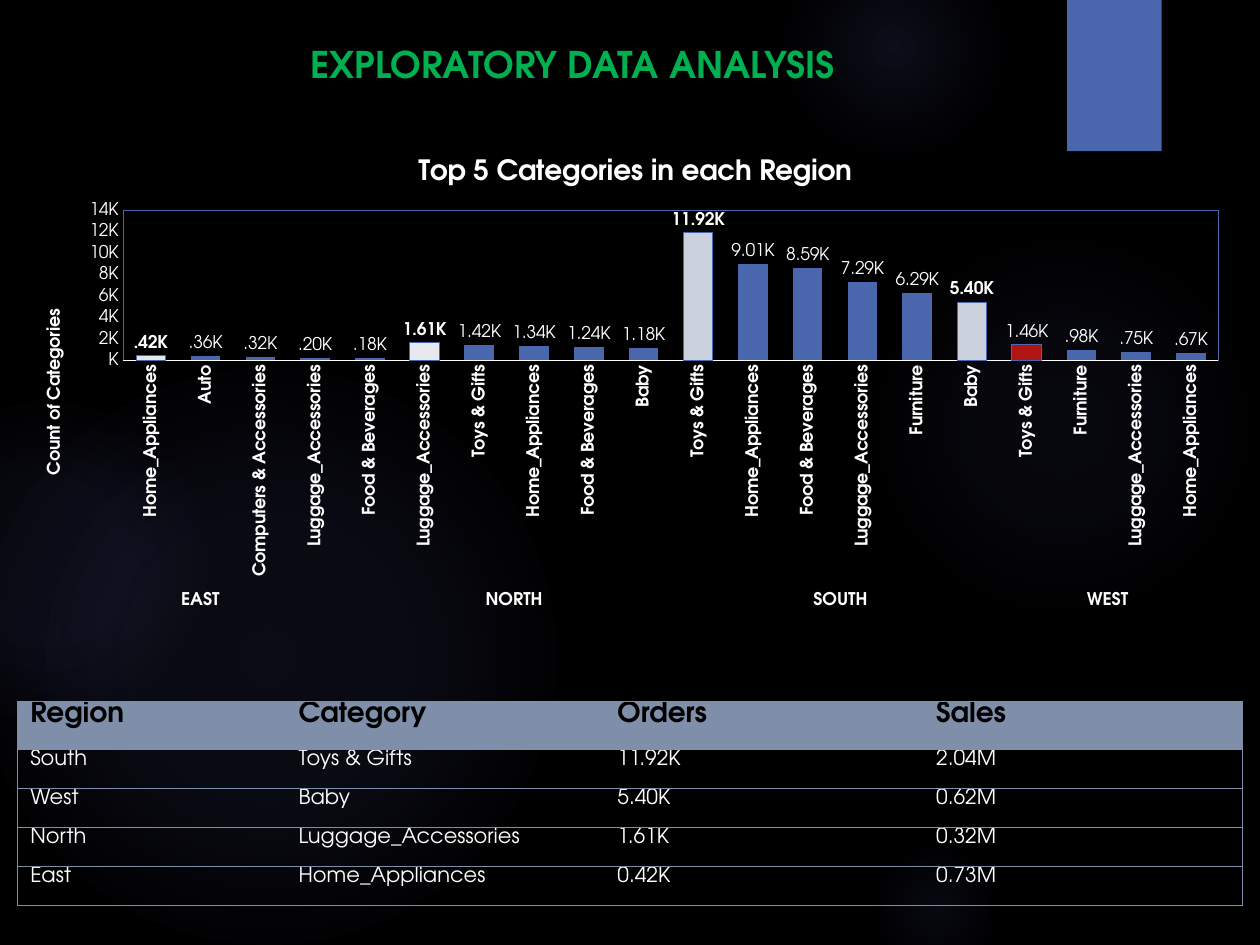
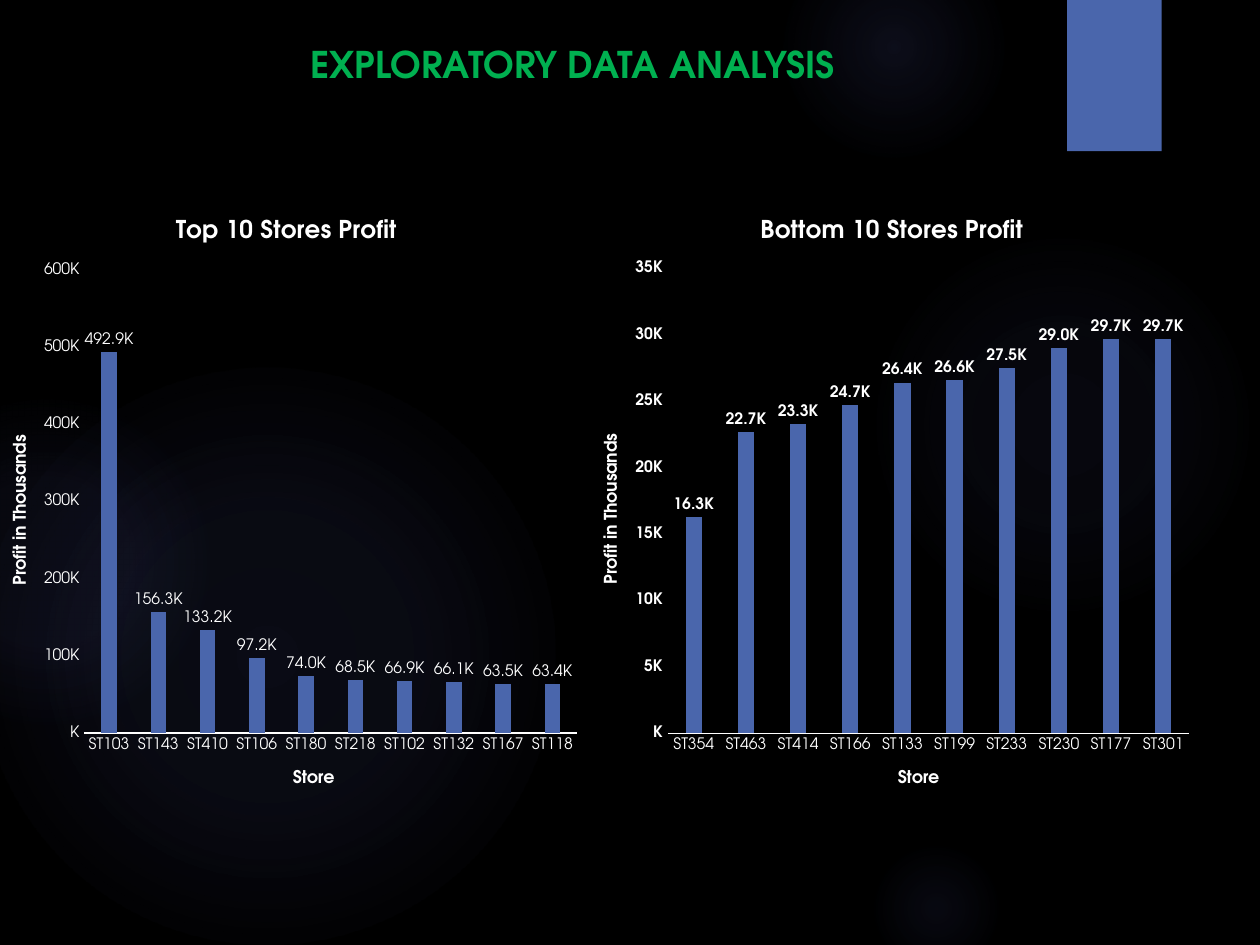
from dataclasses import dataclass, field
from typing import NamedTuple, Optional

from pptx import Presentation
from pptx.chart.data import CategoryChartData
from pptx.dml.color import RGBColor as RGB
from pptx.enum.chart import XL_CHART_TYPE as ChartType
from pptx.enum.chart import XL_LABEL_POSITION as LabelPos
from pptx.enum.chart import XL_TICK_MARK as Tick
from pptx.enum.shapes import MSO_SHAPE as Preset
from pptx.enum.text import MSO_ANCHOR as Anchor
from pptx.enum.text import MSO_AUTO_SIZE as AutoSize
from pptx.enum.text import PP_ALIGN as Align
from pptx.oxml import parse_xml
from pptx.oxml.ns import nsdecls, qn
from pptx.util import Inches, Pt


@dataclass(frozen=True)
class Theme:
    font: str = "TeX Gyre Adventor"
    black: str = "000000"
    white: str = "FFFFFF"
    green: str = "00B050"
    blue: str = "4A66AC"
    glow: str = "5C64B7"
    steel: str = "7F8FA9"
    heading: float = 21
    large: float = 16
    chart_title: float = 14
    body: float = 12
    label: float = 10
    small: float = 9


THEME = Theme()


class Box(NamedTuple):
    left: float
    top: float
    width: float
    height: float

    def lengths(self) -> list[int]:
        return [Inches(value) for value in self]


class Spot(NamedTuple):
    left: float
    top: float


class Glow(NamedTuple):
    left: float
    top: float
    size: float
    stops: tuple  # (position %, opacity %)


class Caption(NamedTuple):
    text: str
    spot: Spot
    size: float = THEME.label


@dataclass
class ColumnChart:
    box: Box
    plot: Box
    title: Caption
    value_title: Caption
    categories: list[str]
    values: list[int]
    top_value: int
    step: int
    label_format: str
    gap: int = 219
    overlap: int = -27
    size: float = THEME.small
    category_title: Optional[Caption] = None
    bold_values: bool = False
    upright_categories: bool = False
    framed: bool = False
    highlights: dict[int, str] = field(default_factory=dict)
    bold_points: tuple = ()


GLOWS = [
    Glow(6.89, 1.83, 3.08, ((0, 7), (36, 6), (69, 0))),
    Glow(6.22, -0.5, 1.75, ((0, 14), (36, 7), (73, 0))),
    Glow(6.89, 6.67, 1.08, ((0, 9), (36, 5), (66, 0))),
    Glow(-0.17, 2.92, 4.58, ((0, 11), (36, 10), (75, 0))),
    Glow(-0.92, 3.17, 2.58, ((0, 8), (36, 8), (72, 0))),
]

REGION_CATEGORIES = ColumnChart(
    box=Box(0.14, 1.09, 9.73, 3.96), plot=Box(0.98, 1.67, 8.69, 1.19),
    title=Caption("Top 5 Categories in each Region", Spot(3.28, 1.2), THEME.large),
    value_title=Caption("Count of Categories", Spot(0.33, 2.43)),
    categories=[
        "Home_Appliances", "Auto", "Computers & Accessories", "Luggage_Accessories", "Food & Beverages",
        "Luggage_Accessories", "Toys & Gifts", "Home_Appliances", "Food & Beverages", "Baby",
        "Toys & Gifts", "Home_Appliances", "Food & Beverages", "Luggage_Accessories", "Furniture",
        "Baby", "Toys & Gifts", "Furniture", "Luggage_Accessories", "Home_Appliances"],
    values=[420, 360, 320, 200, 180, 1610, 1420, 1340, 1240, 1180,
            11920, 9010, 8590, 7290, 6290, 5400, 1460, 980, 750, 670],
    top_value=14000, step=2000, label_format='#.00,"K";\\-#.00,"K"',
    gap=85, overlap=-19, size=THEME.label, upright_categories=True, framed=True,
    highlights={0: "E5E9EE", 5: "E5E9EE", 10: "CCD2DD", 15: "CCD2DD", 16: "B01513"},
    bold_points=(0, 5, 10, 15))

TOP_STORES = ColumnChart(
    box=Box(-0.15, 1.54, 4.83, 4.9), plot=Box(0.67, 2.14, 3.91, 3.68),
    title=Caption("Top 10 Stores Profit", Spot(1.36, 1.69), THEME.chart_title),
    value_title=Caption("Profit in Thousands", Spot(0.06, 3.43)),
    category_title=Caption("Store", Spot(2.3, 6.07)),
    categories=["ST103", "ST143", "ST410", "ST106", "ST180", "ST218", "ST102", "ST132", "ST167", "ST118"],
    values=[492900, 156300, 133200, 97200, 74000, 68500, 66900, 66100, 63500, 63400],
    top_value=600000, step=100000, label_format='#.0,"K";\\-#.0,"K"')

BOTTOM_STORES = ColumnChart(
    box=Box(4.54, 1.54, 5, 4.9), plot=Box(5.3, 2.13, 4.14, 3.69),
    title=Caption("Bottom 10 Stores Profit", Spot(6, 1.69), THEME.chart_title),
    value_title=Caption("Profit in Thousands", Spot(4.75, 3.42)),
    category_title=Caption("Store", Spot(7.1, 6.07)),
    categories=["ST354", "ST463", "ST414", "ST166", "ST133", "ST199", "ST233", "ST230", "ST177", "ST301"],
    values=[16300, 22700, 23300, 24700, 26400, 26600, 27500, 29000, 29700, 29700],
    top_value=35000, step=5000, label_format='#.0,"K";\\-#.0,"K"', bold_values=True)

REGION_CENTRES = {"EAST": 1.59, "NORTH": 4.08, "SOUTH": 6.67, "WEST": 8.79}

LEADERS = [
    ("Region", "Category", "Orders", "Sales"),
    ("South", "Toys & Gifts", "11.92K", "2.04M"),
    ("West", "Baby", "5.40K", "0.62M"),
    ("North", "Luggage_Accessories", "1.61K", "0.32M"),
    ("East", "Home_Appliances", "0.42K", "0.73M"),
]


# Text
def style_font(font, size: float, color: str = THEME.white, bold: bool = False) -> None:
    font.name, font.size, font.bold = THEME.font, Pt(size), bold
    font.color.rgb = RGB.from_string(color)


def add_run(paragraph, text: str, size: float, color: str = THEME.white, bold: bool = False) -> None:
    run = paragraph.add_run()
    run.text = text
    style_font(run.font, size, color, bold)


# Shared slide frame
def add_glow(slide, glow: Glow) -> None:
    orb = slide.shapes.add_shape(Preset.OVAL, *Box(glow.left, glow.top, glow.size, glow.size).lengths())
    orb.shadow.inherit = False
    orb.line.fill.background()
    stops = "".join(
        f'<a:gs pos="{pos * 1000}"><a:srgbClr val="{THEME.glow}">'
        f'<a:alpha val="{opacity * 1000}"/></a:srgbClr></a:gs>' for pos, opacity in glow.stops)
    orb.element.spPr.find(qn("a:prstGeom")).addnext(parse_xml(
        f'<a:gradFill {nsdecls("a")}><a:gsLst>{stops}</a:gsLst><a:path path="circle">'
        '<a:fillToRect l="50000" t="50000" r="50000" b="50000"/></a:path></a:gradFill>'))


def add_analysis_slide(prs):
    slide = prs.slides.add_slide(prs.slide_layouts.get_by_name("Title Only"))
    for glow in GLOWS:
        add_glow(slide, glow)
    band = slide.shapes.add_shape(Preset.RECTANGLE, *Box(8.47, 0, 0.75, 1.2).lengths())
    band.shadow.inherit = False
    band.fill.solid()
    band.fill.fore_color.rgb = RGB.from_string(THEME.blue)
    band.line.fill.background()

    heading = slide.shapes.title
    heading.left, heading.top, heading.width, heading.height = Box(0.27, 0.28, 8.55, 0.45).lengths()
    frame = heading.text_frame
    frame.vertical_anchor, frame.auto_size = Anchor.MIDDLE, AutoSize.SHAPE_TO_FIT_TEXT
    frame.paragraphs[0].alignment = Align.CENTER
    add_run(frame.paragraphs[0], "EXPLORATORY DATA ANALYSIS", THEME.heading, THEME.green, True)
    heading.element.getparent().append(heading.element)  # bring in front of the glows
    return slide


# Charts
def manual_layout(chart_box: Box, place: Spot | Box):
    inner = '<c:layoutTarget val="inner"/>' if isinstance(place, Box) else ""
    shares = {"x": (place.left - chart_box.left) / chart_box.width,
              "y": (place.top - chart_box.top) / chart_box.height}
    if isinstance(place, Box):
        shares |= {"w": place.width / chart_box.width, "h": place.height / chart_box.height}
    modes = '<c:xMode val="edge"/><c:yMode val="edge"/>'
    sizes = "".join(f'<c:{key} val="{share:.4f}"/>' for key, share in shares.items())
    return parse_xml(f'<c:layout {nsdecls("c")}><c:manualLayout>{inner}{modes}{sizes}'
                     '</c:manualLayout></c:layout>')


def drop_layout(element) -> None:
    for layout in element.findall(qn("c:layout")):
        element.remove(layout)


def write_caption(title, caption: Caption, chart_box: Box, upright: bool = False) -> None:
    frame = title.text_frame
    add_run(frame.paragraphs[0], caption.text, caption.size, bold=True)
    drop_layout(title.element)
    text = title.element.find(qn("c:tx"))
    text.addnext(manual_layout(chart_box, caption.spot))
    if upright:
        turn_upright(text)


def turn_upright(element) -> None:
    body = next(element.iter(qn("a:bodyPr")))
    body.set("rot", "-5400000")
    body.set("vert", "horz")


def add_column_chart(slide, design: ColumnChart) -> None:
    data = CategoryChartData()
    data.categories = design.categories
    data.add_series("Series 1", design.values)
    chart = slide.shapes.add_chart(ChartType.COLUMN_CLUSTERED, *design.box.lengths(), data).chart
    style_font(chart.font, THEME.label)
    chart.has_legend = False
    chart.has_title = True
    write_caption(chart.chart_title, design.title, design.box)
    area = next(chart.element.iter(qn("c:plotArea")))

    # Axes
    stores, amounts = chart.category_axis, chart.value_axis
    for axis in (stores, amounts):
        axis.major_tick_mark = axis.minor_tick_mark = Tick.NONE
        axis.has_major_gridlines = False
    style_font(stores.tick_labels.font, design.size, bold=design.upright_categories)
    style_font(amounts.tick_labels.font, design.size, bold=design.bold_values)
    stores.format.line.color.rgb = RGB.from_string(THEME.white)
    stores.format.line.width = Pt(0.75)
    if design.upright_categories:
        turn_upright(area.find(qn("c:catAx")).find(qn("c:txPr")))
    if design.category_title:
        write_caption(stores.axis_title, design.category_title, design.box)
    amounts.format.line.fill.background()
    amounts.minimum_scale, amounts.maximum_scale = 0, design.top_value
    amounts.major_unit = design.step
    amounts.tick_labels.number_format = '#,"K";\\-#,"K"'
    amounts.tick_labels.number_format_is_linked = False
    write_caption(amounts.axis_title, design.value_title, design.box, upright=True)

    # Columns and their labels
    plot = chart.plots[0]
    plot.gap_width, plot.overlap, plot.vary_by_categories = design.gap, design.overlap, False
    columns = plot.series[0]
    columns.format.fill.solid()
    columns.format.fill.fore_color.rgb = RGB.from_string(THEME.blue)
    labels = columns.data_labels
    labels.show_value, labels.position = True, LabelPos.OUTSIDE_END
    labels.number_format, labels.number_format_is_linked = design.label_format, False
    style_font(labels.font, design.size, bold=design.bold_values)
    for index, color in design.highlights.items():
        look = columns.points[index].format
        look.fill.solid()
        look.fill.fore_color.rgb = RGB.from_string(color)
        look.line.color.rgb = RGB.from_string(THEME.blue)
    for index in design.bold_points:
        leader = columns.points[index].data_label
        style_font(leader.font, design.size, bold=True)
        leader.position = LabelPos.OUTSIDE_END

    # Plot area
    drop_layout(area)
    area.insert(0, manual_layout(design.box, design.plot))
    if design.framed:
        area.append(parse_xml(
            f'<c:spPr {nsdecls("c", "a")}><a:noFill/><a:ln w="9525"><a:solidFill>'
            f'<a:srgbClr val="{THEME.blue}"/></a:solidFill></a:ln></c:spPr>'))


def add_region_label(slide, region: str, centre: float) -> None:
    label = slide.shapes.add_textbox(*Box(centre - 0.5, 4.6, 1, 0.3).lengths())
    label.text_frame.word_wrap = True
    label.text_frame.vertical_anchor = Anchor.MIDDLE
    label.text_frame.paragraphs[0].alignment = Align.CENTER
    add_run(label.text_frame.paragraphs[0], region, THEME.label, bold=True)


# Table
def set_borders(cell, sides: dict[str, bool]) -> None:
    properties = cell._tc.get_or_add_tcPr()
    for position, (side, drawn) in enumerate(sides.items()):
        paint = f'<a:solidFill><a:srgbClr val="{THEME.steel}"/></a:solidFill>' if drawn else "<a:noFill/>"
        properties.insert(position, parse_xml(f'<a:{side} {nsdecls("a")} w="9525">{paint}</a:{side}>'))


def add_leader_table(slide) -> None:
    table = slide.shapes.add_table(len(LEADERS), len(LEADERS[0]), *Box(0.14, 5.57, 9.72, 1.62).lengths()).table
    for column, width in zip(table.columns, (2.13, 2.53, 2.53, 2.53)):
        column.width = Inches(width)
    last = len(LEADERS[0]) - 1
    for r, entries in enumerate(LEADERS):
        header = r == 0
        table.rows[r].height = Inches(0.38 if header else 0.31)
        for c, entry in enumerate(entries):
            cell = table.cell(r, c)
            cell.margin_top = cell.margin_bottom = 0
            if header:
                cell.fill.solid()
                cell.fill.fore_color.rgb = RGB.from_string(THEME.steel)
                add_run(cell.text_frame.paragraphs[0], entry, THEME.large, THEME.black, True)
            else:
                cell.fill.background()
                add_run(cell.text_frame.paragraphs[0], entry, THEME.body)
            set_borders(cell, {"lnL": c == 0, "lnR": c == last, "lnT": True, "lnB": True})


def main() -> None:
    prs = Presentation()
    prs.slide_width, prs.slide_height = Inches(10), Inches(7.5)
    backdrop = prs.slide_master.background.fill
    backdrop.solid()
    backdrop.fore_color.rgb = RGB.from_string(THEME.black)

    # Categories by region
    regions = add_analysis_slide(prs)
    add_column_chart(regions, REGION_CATEGORIES)
    for region, centre in REGION_CENTRES.items():
        add_region_label(regions, region, centre)
    add_leader_table(regions)

    # Profit by store
    profits = add_analysis_slide(prs)
    for design in (TOP_STORES, BOTTOM_STORES):
        add_column_chart(profits, design)

    prs.save("out.pptx")


if __name__ == "__main__":
    main()
